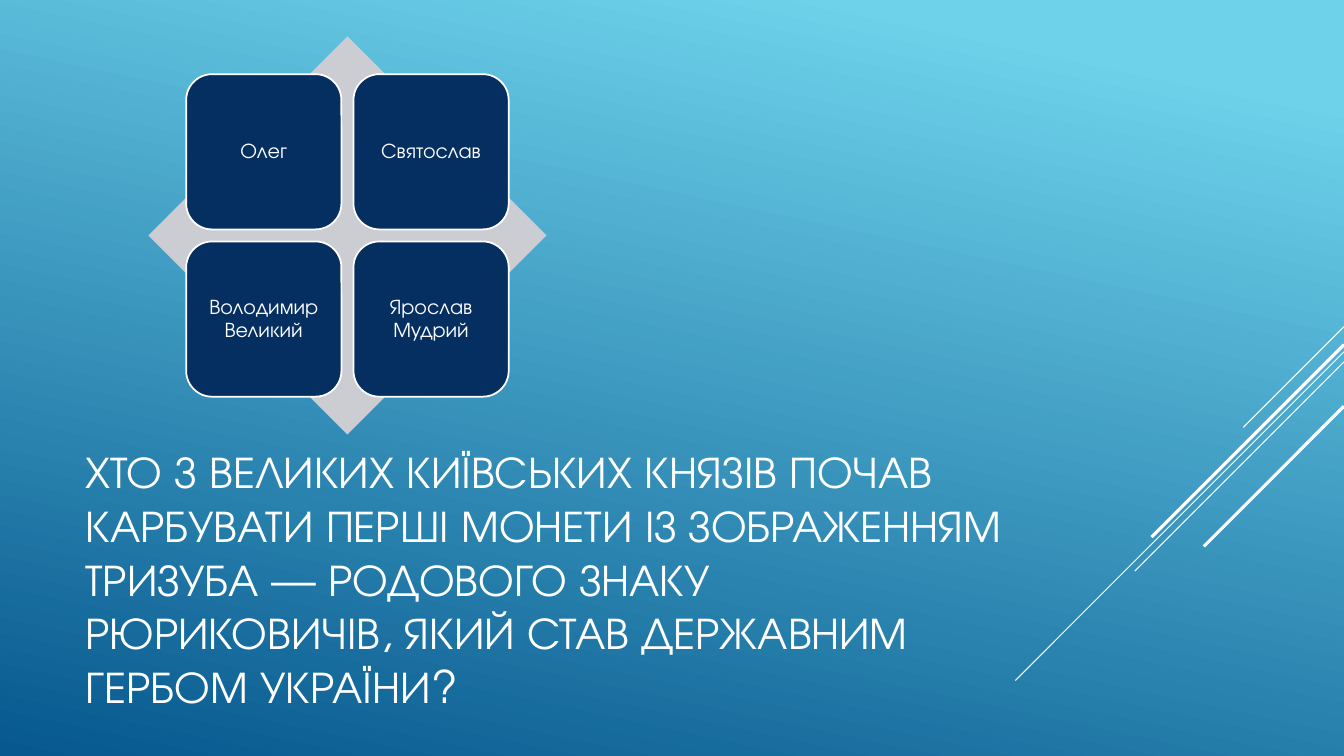
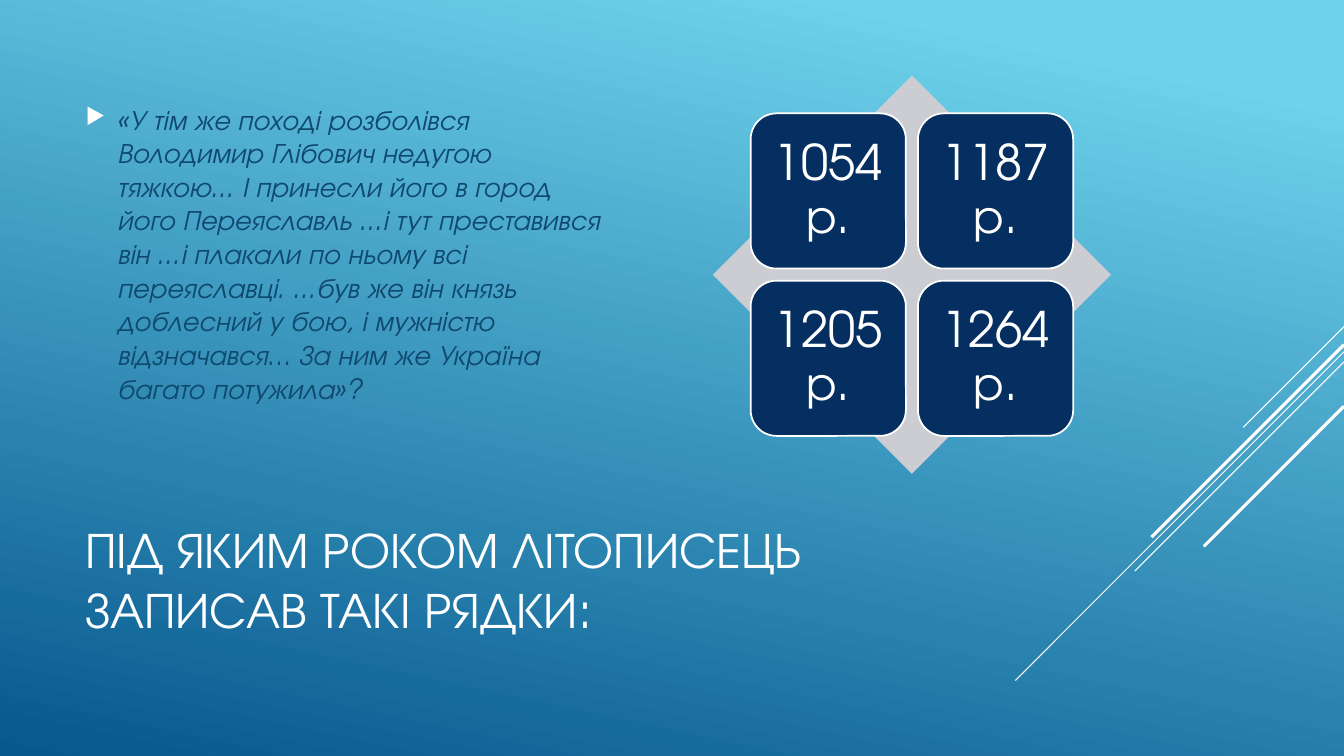
"""Build two quiz slides on the history of Kyivan Rus."""
from dataclasses import dataclass

from lxml import etree
from pptx import Presentation
from pptx.dml.color import RGBColor
from pptx.enum.shapes import MSO_CONNECTOR, MSO_SHAPE
from pptx.enum.text import MSO_ANCHOR, PP_ALIGN
from pptx.oxml.ns import qn
from pptx.util import Pt

STRAIGHT = MSO_CONNECTOR.STRAIGHT
DIAMOND = MSO_SHAPE.DIAMOND
ROUNDED = MSO_SHAPE.ROUNDED_RECTANGLE
MIDDLE = MSO_ANCHOR.MIDDLE
CENTER = PP_ALIGN.CENTER

SLIDE_WIDTH, SLIDE_HEIGHT = 960, 540
DIAGONALS = [
    (233.3, 72, 0.75),
    (251.3, 234.7, 0.75),
    (258.5, 149.4, 0.75),
    (246.2, 137.5, 2.25),
    (290.2, 100.1, 2.25),
]


@dataclass(frozen=True)
class Theme:
    font: str = "TeX Gyre Adventor"
    sky: str = "6ED2EB"
    deep: str = "06588E"
    white: str = "FFFFFF"
    quote: str = "0F496F"
    diamond: str = "CCCDD2"
    tile: str = "052F61"
    title_size: int = 36
    long_title_size: int = 32
    quote_size: int = 20
    name_size: int = 15
    year_size: int = 35


class Deck:
    def __init__(self, theme):
        self.theme = theme
        self.slide = None
        self.presentation = Presentation()
        self.presentation.slide_width = Pt(SLIDE_WIDTH)
        self.presentation.slide_height = Pt(SLIDE_HEIGHT)
        self.paint_background()

    def paint_background(self):
        fill = self.presentation.slide_master.background.fill
        fill.gradient()
        fill.gradient_angle = 360 - 102
        stops = [(0.1, self.theme.sky), (1, self.theme.deep)]
        for stop, (position, color) in zip(fill.gradient_stops, stops):
            stop.position = position
            stop.color.rgb = RGBColor.from_string(color)

    def add_slide(self):
        self.slide = self.presentation.slides.add_slide(self.presentation.slide_layouts[6])
        for top, reach, width in DIAGONALS:
            self.add_diagonal(top, reach, width)

    def add_diagonal(self, top, reach, width):
        line = self.slide.shapes.add_connector(
            STRAIGHT, Pt(SLIDE_WIDTH), Pt(top), Pt(SLIDE_WIDTH - reach), Pt(top + reach))
        line.line.color.rgb = RGBColor.from_string(self.theme.white)
        line.line.width = Pt(width)
        etree.SubElement(line._element.spPr, qn("a:effectLst"))

    def style(self, paragraph, size, color, italic=False):
        font = paragraph.font
        font.name = self.theme.font
        font.size = Pt(size)
        font.italic = italic
        font.color.rgb = RGBColor.from_string(color)

    def add_text_box(self, left, top, width, height, text):
        frame = self.slide.shapes.add_textbox(Pt(left), Pt(top), Pt(width), Pt(height)).text_frame
        frame.word_wrap = True
        frame.vertical_anchor = MIDDLE
        frame.text = text
        return frame

    def add_title(self, text, size):
        frame = self.add_text_box(54, 353.5, 672, 119, text)
        self.style(frame.paragraphs[0], size, self.theme.white)

    def add_quote(self, text):
        frame = self.add_text_box(54, 54, 389, 284.4, text)
        frame.margin_bottom = Pt(34)
        paragraph = frame.paragraphs[0]
        self.add_bullet(paragraph, 22.5)
        self.style(paragraph, self.theme.quote_size, self.theme.quote, italic=True)

    def add_bullet(self, paragraph, indent):
        properties = paragraph._p.get_or_add_pPr()
        properties.set("marL", str(Pt(indent)))
        properties.set("indent", str(-Pt(indent)))
        color = etree.SubElement(properties, qn("a:buClr"))
        etree.SubElement(color, qn("a:srgbClr"), val=self.theme.white)
        etree.SubElement(properties, qn("a:buSzPct"), val="80000")
        etree.SubElement(properties, qn("a:buChar"), char="▶")

    def add_shape(self, kind, left, top, side, color):
        shape = self.slide.shapes.add_shape(kind, Pt(left), Pt(top), Pt(side), Pt(side))
        shape.shadow.inherit = False
        shape.fill.solid()
        shape.fill.fore_color.rgb = RGBColor.from_string(color)
        shape.line.fill.background()
        return shape

    def add_tile(self, left, top, side, text, size, margin):
        tile = self.add_shape(ROUNDED, left, top, side, self.theme.tile)
        tile.line.color.rgb = RGBColor.from_string(self.theme.white)
        tile.line.width = Pt(1.25)
        frame = tile.text_frame
        frame.word_wrap = True
        frame.vertical_anchor = MIDDLE
        frame.margin_left = frame.margin_right = Pt(margin)
        frame.margin_top = frame.margin_bottom = Pt(margin)
        frame.text = text
        paragraph = frame.paragraphs[0]
        paragraph.alignment = CENTER
        paragraph.line_spacing = 0.9
        self.style(paragraph, size, self.theme.white)

    def add_answers(self, left, top, answers, size, margin):
        side, tile, gap = 284.4, 110.9, 8.6
        self.add_shape(DIAMOND, left, top, side, self.theme.diamond)
        inset = (side - 2 * tile - gap) / 2
        for index, answer in enumerate(answers):
            row, column = divmod(index, 2)
            self.add_tile(left + inset + column * (tile + gap),
                          top + inset + row * (tile + gap),
                          tile, answer, size, margin)


def main():
    theme = Theme()
    deck = Deck(theme)

    deck.add_slide()
    deck.add_title(
        "ХТО З ВЕЛИКИХ КИЇВСЬКИХ КНЯЗІВ ПОЧАВ КАРБУВАТИ ПЕРШІ МОНЕТИ "
        "ІЗ ЗОБРАЖЕННЯМ ТРИЗУБА — РОДОВОГО ЗНАКУ РЮРИКОВИЧІВ, "
        "ЯКИЙ СТАВ ДЕРЖАВНИМ ГЕРБОМ УКРАЇНИ?", theme.long_title_size)
    deck.add_answers(106, 26, ["Олег", "Святослав", "Володимир Великий", "Ярослав Мудрий"],
                     theme.name_size, 4.5)

    deck.add_slide()
    deck.add_title("ПІД ЯКИМ РОКОМ ЛІТОПИСЕЦЬ ЗАПИСАВ ТАКІ РЯДКИ:", theme.title_size)
    deck.add_quote(
        "«У тім же поході розболівся Володимир Глібович недугою тяжкою... "
        "І принесли його в город його Переяславль ...і тут преставився він "
        "...і плакали по ньому всі переяславці. ...був же він князь доблесний у бою, "
        "і мужністю відзначався… За ним же Україна багато потужила»?")
    deck.add_answers(509.2, 54, ["1054 р.", "1187 р.", "1205 р.", "1264 р."],
                     theme.year_size, 10.5)

    deck.presentation.save("out.pptx")


if __name__ == "__main__":
    main()
